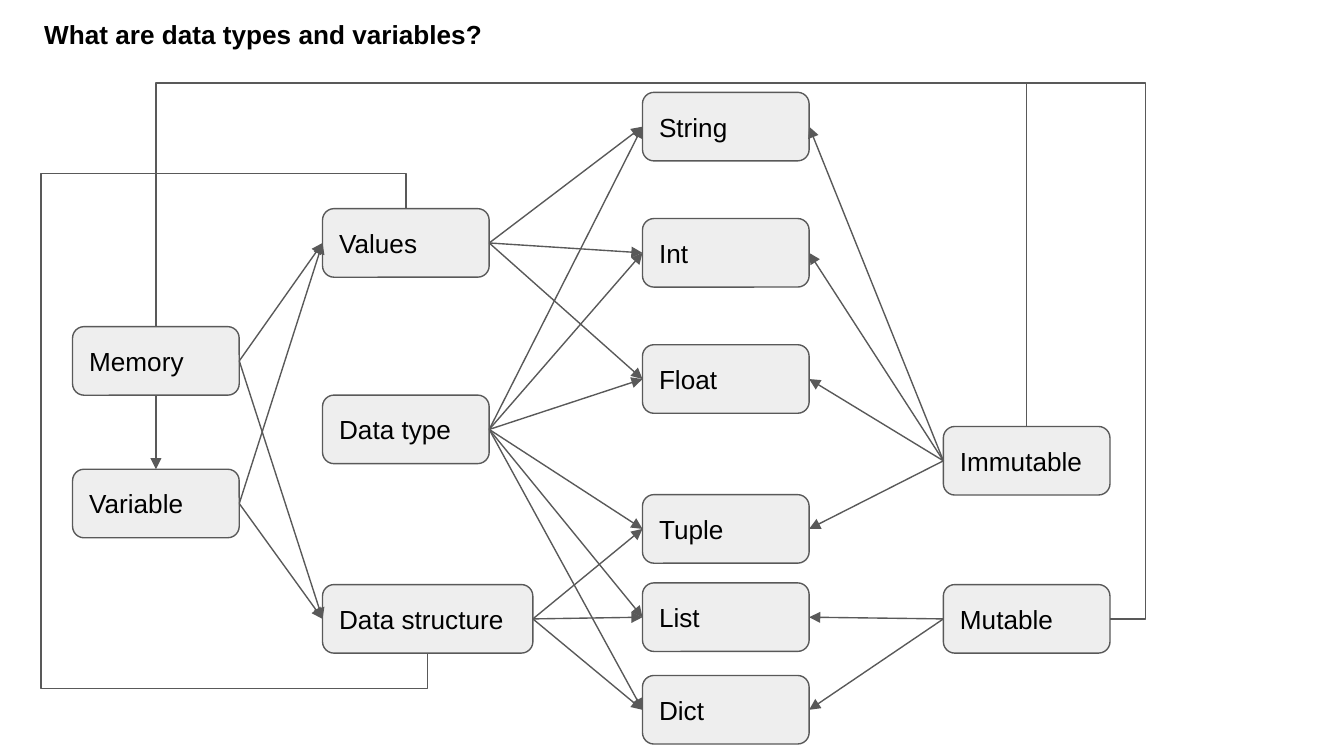
from dataclasses import dataclass

from lxml import etree
from pptx import Presentation
from pptx.dml.color import RGBColor
from pptx.enum.shapes import MSO_CONNECTOR, MSO_SHAPE
from pptx.enum.text import MSO_ANCHOR, PP_ALIGN
from pptx.oxml.ns import qn
from pptx.util import Pt

STRAIGHT, ELBOW = MSO_CONNECTOR.STRAIGHT, MSO_CONNECTOR.ELBOW
ROUNDED = MSO_SHAPE.ROUNDED_RECTANGLE
MIDDLE, TOP_ANCHOR = MSO_ANCHOR.MIDDLE, MSO_ANCHOR.TOP
ALIGN_LEFT = PP_ALIGN.LEFT
TOP, LEFT, BOTTOM, RIGHT = range(4)

COLOURS = {"text": "000000", "fill": "EEEEEE", "line": "595959"}
FONT = "Arial"
BOX_WIDTH, BOX_HEIGHT, INSET = 89.3, 36.75, 7.2
STORAGE_LEFT, KIND_LEFT, TYPE_LEFT, CHANGE_LEFT = 38.9, 172.8, 344.2, 505.4


@dataclass(frozen=True)
class Node:
    label: str
    left: float
    top: float
    width: float = BOX_WIDTH


@dataclass(frozen=True)
class Fan:
    start: str
    start_side: int
    ends: tuple
    end_side: int


@dataclass(frozen=True)
class Elbow:
    start: str
    start_side: int
    end: str
    preset: str
    quarter_turns: int
    flipped: bool
    bends: tuple


NODES = (
    Node("Memory", STORAGE_LEFT, 175),
    Node("Variable", STORAGE_LEFT, 251.4),
    Node("Values", KIND_LEFT, 111.8),
    Node("Data type", KIND_LEFT, 211.7),
    Node("Data structure", KIND_LEFT, 313.2, 112.7),
    Node("String", TYPE_LEFT, 49.5),
    Node("Int", TYPE_LEFT, 117.1),
    Node("Float", TYPE_LEFT, 184.7),
    Node("Tuple", TYPE_LEFT, 265),
    Node("List", TYPE_LEFT, 312.3),
    Node("Dict", TYPE_LEFT, 361.9),
    Node("Immutable", CHANGE_LEFT, 228.5),
    Node("Mutable", CHANGE_LEFT, 313.2),
)
SIMPLE = ("String", "Int", "Float")
CHANGEABLE = ("List", "Dict")
FANS = (
    Fan("Values", RIGHT, SIMPLE, LEFT),
    Fan("Data structure", RIGHT, ("Tuple", *CHANGEABLE), LEFT),
    Fan("Data type", RIGHT, (*SIMPLE, "Tuple", *CHANGEABLE), LEFT),
    Fan("Immutable", LEFT, (*SIMPLE, "Tuple"), RIGHT),
    Fan("Mutable", LEFT, CHANGEABLE, RIGHT),
    Fan("Memory", RIGHT, ("Values", "Data structure"), LEFT),
    Fan("Variable", RIGHT, ("Values", "Data structure"), LEFT),
    Fan("Memory", BOTTOM, ("Variable",), TOP),
)
ELBOWS = (
    Elbow("Immutable", TOP, "Memory", "bentConnector3", 1, True, (343600,)),
    Elbow("Mutable", RIGHT, "Memory", "bentConnector4", 2, False, (-3700, 183400)),
    Elbow("Data structure", BOTTOM, "Values", "bentConnector5", 1, True,
          (-7900, 1770100, 107900)),
)


def colour(name: str) -> RGBColor:
    """Return a named colour."""
    return RGBColor.from_string(COLOURS[name])


def write(shape, text: str, anchor, bold: bool = False) -> None:
    """Put one line of styled text in a shape."""
    frame = shape.text_frame
    frame.word_wrap = True
    frame.vertical_anchor = anchor
    frame.margin_left = frame.margin_right = Pt(INSET)
    frame.margin_top = frame.margin_bottom = Pt(INSET)
    para = frame.paragraphs[0]
    para.alignment = ALIGN_LEFT
    span = para.add_run()
    span.text = text
    span.font.name = FONT
    span.font.size = Pt(14)
    span.font.bold = bold
    span.font.color.rgb = colour("text")


def draw_node(page, node: Node):
    """Draw a labelled rounded box and return it."""
    box = page.shapes.add_shape(
        ROUNDED, Pt(node.left), Pt(node.top), Pt(node.width), Pt(BOX_HEIGHT))
    box.shadow.inherit = False
    box.fill.solid()
    box.fill.fore_color.rgb = colour("fill")
    box.line.color.rgb = colour("line")
    box.line.width = Pt(0.75)
    write(box, node.label, MIDDLE)
    return box


def join(page, kind, start, start_side: int, end, end_side: int):
    """Join two boxes with a plain connector and return it."""
    connector = page.shapes.add_connector(kind, 0, 0, 0, 0)
    connector.begin_connect(start, start_side)
    connector.end_connect(end, end_side)
    connector.line.color.rgb = colour("line")
    connector.line.width = Pt(0.75)
    etree.SubElement(connector._element.spPr, qn("a:effectLst"))
    return connector


def draw_fan(page, boxes: dict, fan: Fan) -> None:
    """Draw arrows from one box to several others."""
    for end in fan.ends:
        arrow = join(page, STRAIGHT, boxes[fan.start], fan.start_side,
                     boxes[end], fan.end_side)
        etree.SubElement(arrow.line._get_or_add_ln(), qn("a:tailEnd"), type="triangle")


def draw_elbow(page, boxes: dict, elbow: Elbow) -> None:
    """Draw a bent line that ends on top of a box."""
    line = join(page, ELBOW, boxes[elbow.start], elbow.start_side,
                boxes[elbow.end], TOP)
    if elbow.quarter_turns % 2:
        shift = (line.width - line.height) // 2
        line.left, line.top = line.left + shift, line.top - shift
        line.width, line.height = line.height, line.width
    properties = line._element.spPr
    frame = properties.find(qn("a:xfrm"))
    frame.set("rot", str(elbow.quarter_turns * 5400000))
    frame.set("flipH", str(int(elbow.flipped)))
    frame.set("flipV", "0")
    geometry = properties.find(qn("a:prstGeom"))
    geometry.set("prst", elbow.preset)
    guides = geometry.find(qn("a:avLst"))
    for number, bend in enumerate(elbow.bends, 1):
        etree.SubElement(guides, qn("a:gd"), name=f"adj{number}", fmla=f"val {bend}")


def main() -> None:
    """Build the concept map and save it."""
    deck = Presentation()
    deck.slide_width, deck.slide_height = Pt(720), Pt(405)
    page = deck.slides.add_slide(deck.slide_layouts[6])
    title = page.shapes.add_textbox(Pt(16.6), Pt(2.9), Pt(252), Pt(27.4))
    write(title, "What are data types and variables?", TOP_ANCHOR, bold=True)
    boxes = {node.label: draw_node(page, node) for node in NODES}
    for fan in FANS:
        draw_fan(page, boxes, fan)
    for elbow in ELBOWS:
        draw_elbow(page, boxes, elbow)
    deck.save("out.pptx")


if __name__ == "__main__":
    main()
